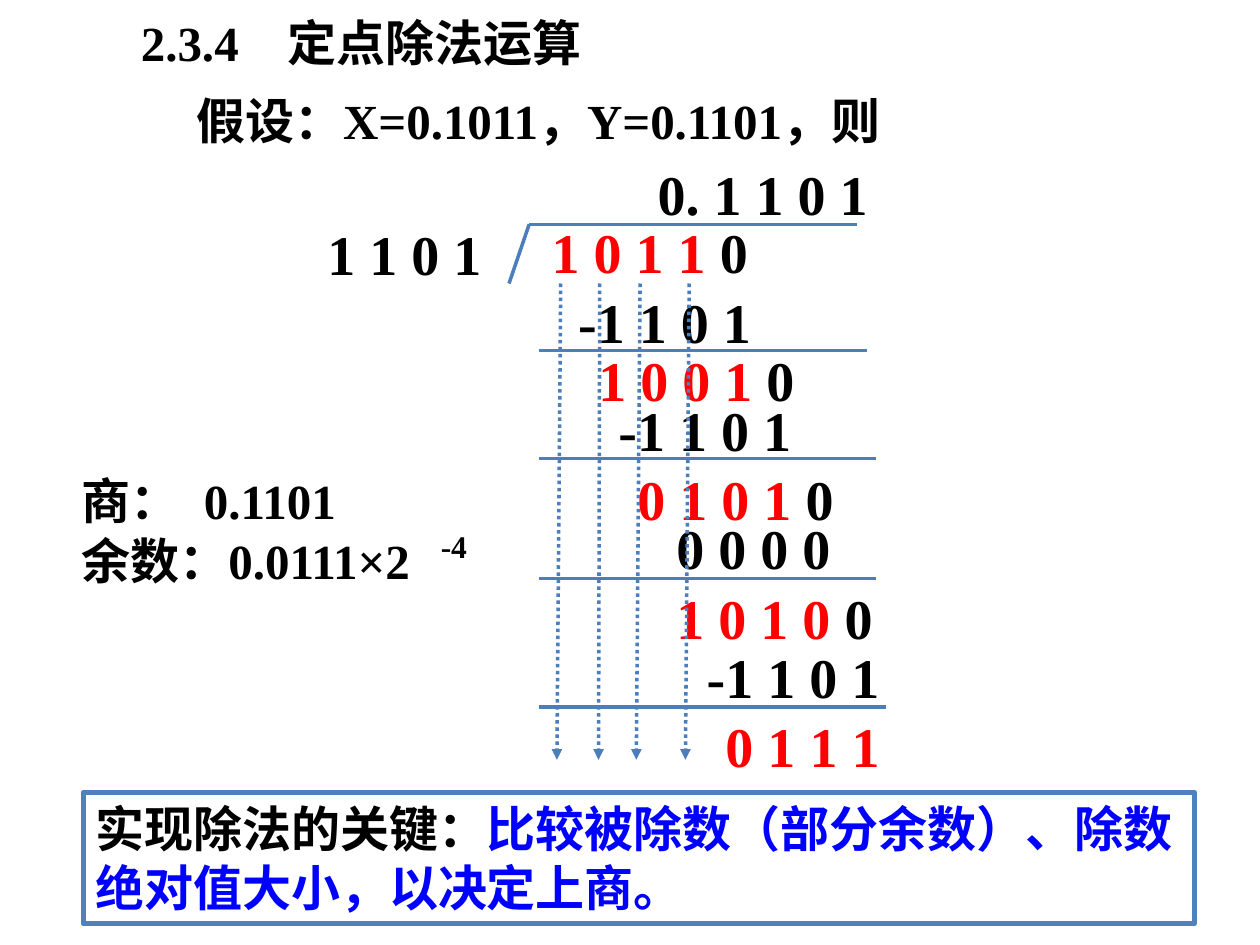
from lxml import etree
from pptx import Presentation
from pptx.dml.color import RGBColor
from pptx.enum.dml import MSO_LINE_DASH_STYLE as Dash
from pptx.enum.shapes import MSO_CONNECTOR_TYPE as Connector, MSO_SHAPE as Shape
from pptx.enum.text import MSO_ANCHOR as Anchor, PP_ALIGN as Align
from pptx.oxml.ns import qn
from pptx.util import Inches, Pt

BLACK = RGBColor(0x00, 0x00, 0x00)
RED = RGBColor(0xFF, 0x00, 0x00)
BLUE = RGBColor(0x00, 0x00, 0xFF)
LINE_BLUE = RGBColor(0x4B, 0x7E, 0xBC)
FRAME_BLUE = RGBColor(0x4F, 0x81, 0xBD)
FONT = "Times New Roman"

# Left, top, width, remainder digits in red, other digits in black
DIVISION_ROWS = [
    (5.12, 1.22, 1.88, "", "0. 1 1 0 1"),
    (2.5, 1.69, 1.44, "", "1 1 0 1"),
    (4.28, 1.68, 2.11, "1 0 1 1 ", "0"),
    (4.49, 2.23, 1.59, "", "-1 1 0 1"),
    (4.65, 2.69, 1.77, "1 0 0 1 ", "0"),
    (4.81, 3.09, 1.59, "", "-1 1 0 1"),
    (4.96, 3.64, 1.77, "0 1 0 1 ", "0"),
    (5.27, 4.03, 1.44, "", "0 0 0 0"),
    (5.27, 4.58, 1.77, "1 0 1 0 ", "0"),
    (5.51, 5.05, 1.59, "", "-1 1 0 1"),
    (5.66, 5.6, 1.77, "0 1 1 1", ""),
]
# Right end and height of the line under each subtraction
SUBTRACTION_LINES = [(6.88, 2.78), (6.95, 3.64), (6.95, 4.59), (7.03, 5.61)]
# Upper and lower horizontal position of each arrow
ARROWS = [(4.45, 4.42), (4.76, 4.75), (5.08, 5.05), (5.47, 5.44)]


def write_runs(paragraph, parts, size):
    """Add bold runs given as (text, colour) pairs."""
    for text, colour in parts:
        if text:
            run = paragraph.add_run()
            run.text = text
            run.font.name = FONT
            run.font.size = Pt(size)
            run.font.bold = True
            run.font.color.rgb = colour


def add_text(slide, left, top, width, height, parts, size=28, wrap=True):
    """Add a text box with one paragraph and return its text frame."""
    box = slide.shapes.add_textbox(*map(Inches, (left, top, width, height)))
    text_frame = box.text_frame
    text_frame.word_wrap = wrap
    write_runs(text_frame.paragraphs[0], parts, size)
    return text_frame


def add_line(slide, start, end):
    """Add a plain blue line between two points."""
    line = slide.shapes.add_connector(
        Connector.STRAIGHT, *map(Inches, (*start, *end)))
    line.line.color.rgb = LINE_BLUE
    line.line.width = Pt(2)
    etree.SubElement(line._element.spPr, qn("a:effectLst"))
    return line


def add_dotted_arrow(slide, start, end):
    """Add a dotted line that ends in a triangle."""
    arrow = add_line(slide, start, end)
    arrow.line.dash_style = Dash.ROUND_DOT
    tail = etree.SubElement(arrow.line._get_or_add_ln(), qn("a:tailEnd"))
    tail.set("type", "triangle")


def add_division(slide):
    """Draw the long division with its lines and arrows."""
    corner = (4.2, 1.78)
    add_line(slide, corner, (6.8, 1.78))
    add_line(slide, corner, (4.04, 2.25))
    for left, top, width, remainder, digits in DIVISION_ROWS:
        add_text(slide, left, top, width, 0.64,
                 [(remainder, RED), (digits, BLACK)], size=32, wrap=False)
    for right, y in SUBTRACTION_LINES:
        add_line(slide, (4.28, y), (right, y))
    for upper, lower in ARROWS:
        add_dotted_arrow(slide, (upper, 2.25), (lower, 6.03))


def add_result(slide):
    """Write the quotient and the remainder with its exponent."""
    text_frame = add_text(slide, 0.55, 3.85, 4.17, 0.9,
                          [("商：\u20020.1101", BLACK)])
    write_runs(text_frame.add_paragraph(), [("余数：0.0111×2", BLACK)], 28)
    for paragraph in text_frame.paragraphs:
        paragraph.line_spacing = 0.6
        paragraph.space_before = Pt(14)
    add_text(slide, 3.4, 4.13, 0.8, 0.4, [("-4", BLACK)], size=18)


def add_key_point(slide):
    """Add the framed statement at the bottom."""
    frame = slide.shapes.add_shape(
        Shape.RECTANGLE, *map(Inches, (0.66, 6.29, 8.82, 1.04)))
    frame.shadow.inherit = False
    frame.fill.background()
    frame.line.color.rgb = FRAME_BLUE
    frame.line.width = Pt(3)
    text_frame = frame.text_frame
    text_frame.word_wrap = True
    text_frame.vertical_anchor = Anchor.TOP
    paragraph = text_frame.paragraphs[0]
    paragraph.alignment = Align.LEFT
    write_runs(paragraph, [
        ("实现除法的关键：", BLACK),
        ("比较被除数（部分余数）、除数绝对值大小，以决定上商。", BLUE)], 28)


def main():
    """Build the slide and save it."""
    presentation = Presentation()
    presentation.slide_width = Inches(10)
    presentation.slide_height = Inches(7.5)
    slide = presentation.slides.add_slide(presentation.slide_layouts[6])
    add_text(slide, 1.02, 0.05, 6.5, 0.57, [("2.3.4\u3000定点除法运算", BLACK)])
    add_text(slide, 1.46, 0.67, 5.7, 0.57,
             [("假设：X=0.1011，Y=0.1101，则", BLACK)])
    add_division(slide)
    add_result(slide)
    add_key_point(slide)
    presentation.save("out.pptx")


main()
